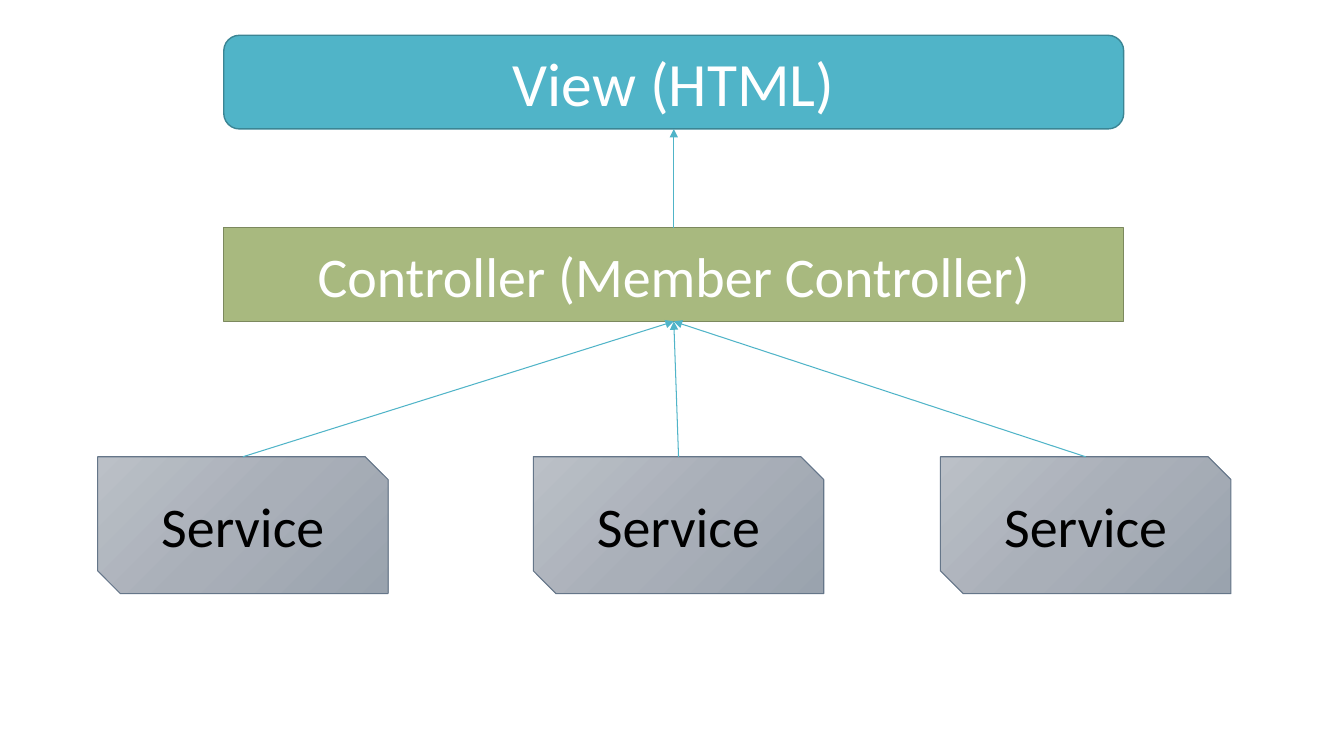
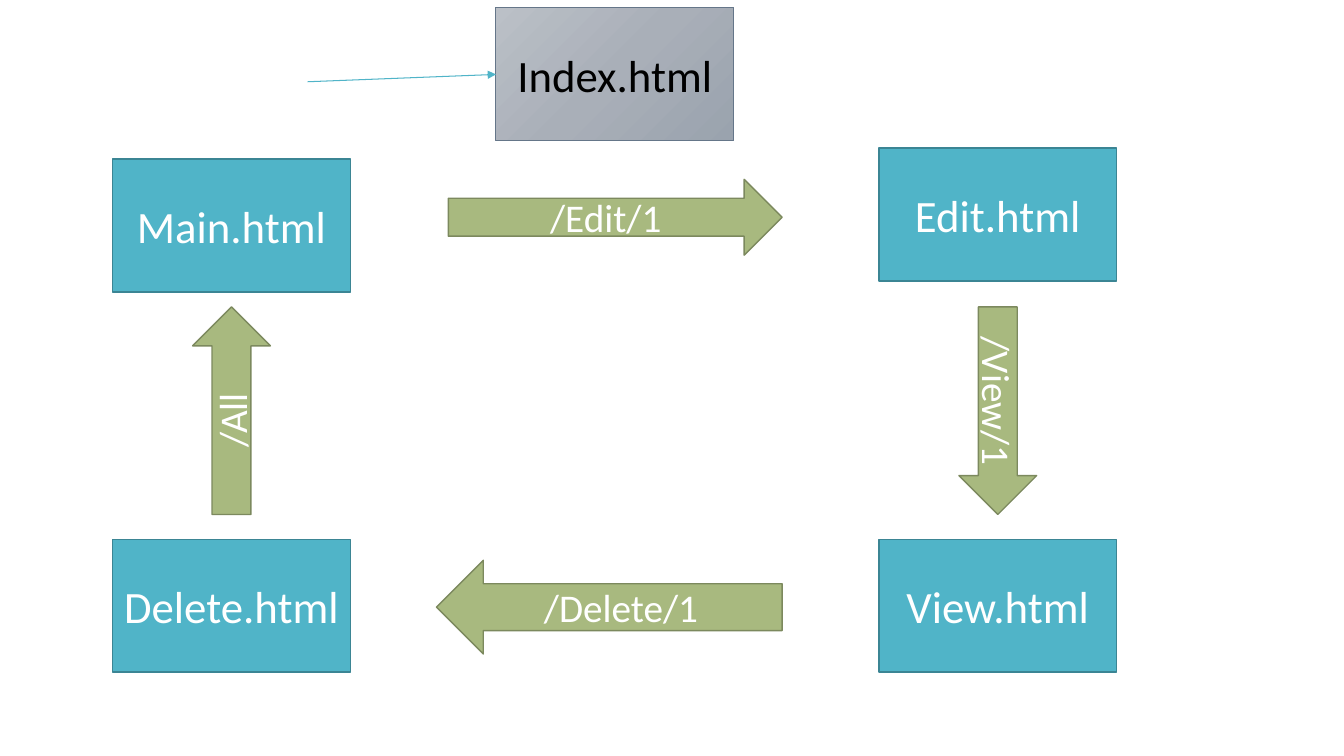
from copy import deepcopy
from pptx import Presentation
from pptx.dml.color import RGBColor
from pptx.enum.dml import MSO_THEME_COLOR
from pptx.enum.shapes import MSO_CONNECTOR as Connector, MSO_SHAPE as Preset
from pptx.enum.text import MSO_ANCHOR as Anchor, PP_ALIGN as Align
from pptx.oxml.ns import qn
from pptx.util import Cm, Pt
from lxml.etree import SubElement

COLORS = {
    "teal": "50B4C8", "teal_edge": "3B8594",
    "green": "A8B97F", "green_edge": "7C895E",
    "steel_light": "BBC0C7", "steel_mid": "A9AFB8", "steel_dark": "9AA3AE",
    "steel_edge": "657689", "white": "FFFFFF", "black": "000000",
}
LOOKS = {
    "teal": {"fills": ["teal"], "edge": "teal_edge", "width": 1, "ink": "white"},
    "green": {"fills": ["green"], "edge": "green_edge", "width": 1, "ink": "white"},
    "steel": {"fills": ["steel_light", "steel_mid", "steel_dark"],
              "edge": "steel_edge", "width": 0.75, "ink": "black"},
}


def rgb(name):
    return RGBColor.from_string(COLORS[name])


def apply(target, formats):
    for attribute, value in formats.items():
        setattr(target, attribute, value)


def top_of(block):
    return block.left + block.width // 2, block.top


def bottom_of(block):
    return block.left + block.width // 2, block.top + block.height


def left_of(block):
    return block.left, block.top + block.height // 2


class Diagram:
    font = "Calibri"

    def __init__(self):
        self.deck = Presentation()
        apply(self.deck, {"slide_width": Cm(33.87), "slide_height": Cm(19.05)})
        self.slide = None

    def new_slide(self):
        self.slide = self.deck.slides.add_slide(self.deck.slide_layouts[6])

    def paint(self, block, names):
        if len(names) == 1:
            block.fill.solid()
            block.fill.fore_color.rgb = rgb(names[0])
            return
        block.fill.gradient()
        block.fill.gradient_angle = 315
        stop_list = block._element.spPr.find(".//" + qn("a:gsLst"))
        stop_list.insert(1, deepcopy(stop_list[0]))
        for index, (stop, name) in enumerate(zip(block.fill.gradient_stops, names)):
            stop.position = index / (len(names) - 1)
            stop.color.rgb = rgb(name)

    def block(self, preset, label, box, look, size, rotation=0):
        style = LOOKS[look]
        block = self.slide.shapes.add_shape(preset, *map(Cm, box))
        block.shadow.inherit = False
        block.rotation = rotation
        self.paint(block, style["fills"])
        block.line.color.rgb = rgb(style["edge"])
        block.line.width = Pt(style["width"])
        apply(block.text_frame, {"text": label, "vertical_anchor": Anchor.MIDDLE})
        paragraph = block.text_frame.paragraphs[0]
        paragraph.alignment = Align.CENTER
        apply(paragraph.runs[0].font, {"name": self.font, "size": Pt(size)})
        paragraph.runs[0].font.color.rgb = rgb(style["ink"])
        return block

    def page(self, label, left, top, look="teal"):
        return self.block(Preset.RECTANGLE, label, (left, top, 5.99, 3.35), look, 32)

    def route(self, label, box, preset=Preset.RIGHT_ARROW, rotation=0):
        return self.block(preset, label, box, "green", 28, rotation)

    def arrow(self, start, end):
        arrow = self.slide.shapes.add_connector(Connector.STRAIGHT, *start, *end)
        arrow.line.color.rgb = rgb("teal")
        arrow.line.width = Pt(0.75)
        SubElement(arrow.line._get_or_add_ln(), qn("a:tailEnd"), type="triangle")
        SubElement(arrow._element.spPr, qn("a:effectLst"))


diagram = Diagram()

diagram.new_slide()
view = diagram.block(Preset.ROUNDED_RECTANGLE, "View (HTML)",
                     (5.64, 0.89, 22.68, 2.36), "teal", 44)
controller = diagram.block(Preset.ROUNDED_RECTANGLE, "Controller (Member Controller)",
                           (5.64, 5.74, 22.68, 2.36), "green", 40)
controller.adjustments[0] = 0
diagram.arrow(top_of(controller), bottom_of(view))
for left in (2.46, 13.44, 23.7):
    service = diagram.block(Preset.SNIP_2_DIAG_RECTANGLE, "Service",
                            (left, 11.51, 7.32, 3.45), "steel", 40)
    diagram.arrow(top_of(service), bottom_of(controller))

diagram.new_slide()
index_page = diagram.page("Index.html", 12.5, 0.2, "steel")
diagram.arrow((Cm(7.75), Cm(2.06)), left_of(index_page))
LEFT_COLUMN, RIGHT_COLUMN, BOTTOM_ROW = 2.84, 22.15, 13.59
for label, left, top in (
    ("Main.html", LEFT_COLUMN, 4.01),
    ("Edit.html", RIGHT_COLUMN, 3.73),
    ("View.html", RIGHT_COLUMN, BOTTOM_ROW),
    ("Delete.html", LEFT_COLUMN, BOTTOM_ROW),
):
    diagram.page(label, left, top)
diagram.route("/Edit/1", (11.3, 4.52, 8.41, 1.91))
diagram.route("/Delete/1", (11, 14.12, 8.71, 2.36), Preset.LEFT_ARROW)
for label, column, rotation in (("/View/1", RIGHT_COLUMN, 90), ("/All", LEFT_COLUMN, 270)):
    diagram.route(label, (column + 0.38, 9.37, 5.23, 1.96), rotation=rotation)

diagram.deck.save("out.pptx")
